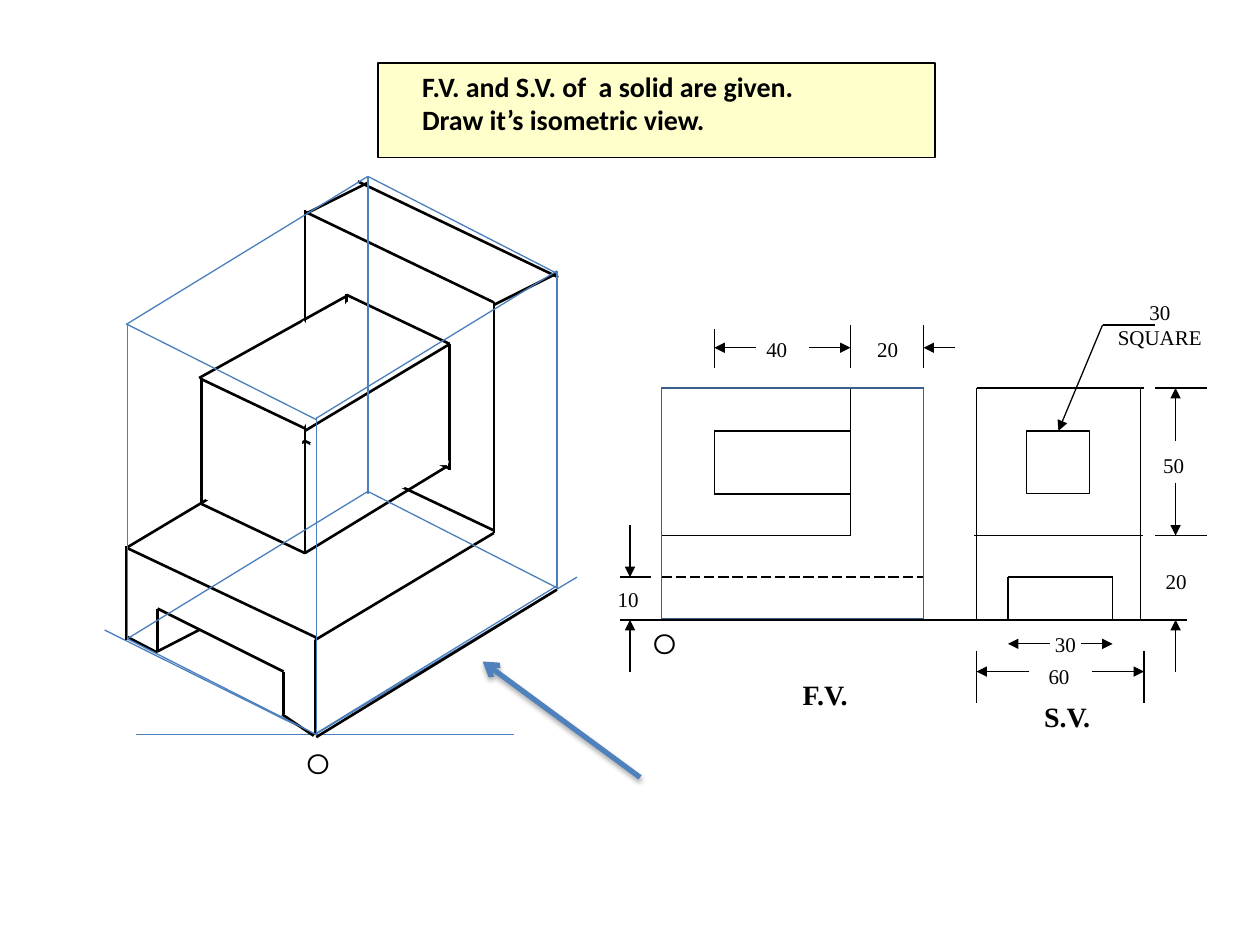
"""Build a slide with the front and side views of a solid and its isometric view."""
from dataclasses import dataclass
from itertools import pairwise

from lxml import etree
from pptx import Presentation
from pptx.dml.color import RGBColor
from pptx.enum.dml import MSO_LINE
from pptx.enum.shapes import MSO_CONNECTOR, MSO_SHAPE
from pptx.enum.text import MSO_ANCHOR, MSO_AUTO_SIZE, PP_ALIGN
from pptx.oxml.ns import qn
from pptx.util import Pt

STRAIGHT = MSO_CONNECTOR.STRAIGHT
RECTANGLE, OVAL = MSO_SHAPE.RECTANGLE, MSO_SHAPE.OVAL
PARALLELOGRAM = MSO_SHAPE.PARALLELOGRAM
LEFT, CENTER = PP_ALIGN.LEFT, PP_ALIGN.CENTER
TOP = MSO_ANCHOR.TOP
LONG_DASH = MSO_LINE.LONG_DASH
EMU_PER_PX = 9144


@dataclass(frozen=True)
class Theme:
    ink: str = "000000"
    paper: str = "FFFFFF"
    banner: str = "FFFFCC"
    guide: str = "4B7EBC"
    outline: str = "3A5F8C"
    pointer: str = "4F81BD"
    title_font: str = "Calibri"
    drawing_font: str = "Times New Roman"
    origin_font: str = "Montserrat"
    heading: int = 16
    dimension: int = 12
    thin: float = 0.75
    medium: float = 1
    bold: float = 1.5
    heavy: float = 3


THEME = Theme()

TITLE = ["F.V. and S.V. of  a solid are given.", "Draw it’s isometric view."]

AXES = [
    [(108, 583), (408, 583)],
    [(250, 583), (458, 458)],
    [(250, 583), (83, 500)],
]
BODY_EDGES = [
    [(250, 583), (250, 508), (392, 423), (392, 240), (242, 168)],
    [(392, 421), (242, 350), (242, 167)],
    [(442, 467), (442, 217)],
    [(443, 220), (284, 144)],
    [(392, 242), (442, 217)],
    [(242, 170), (292, 145)],
    [(251, 506), (101, 435)],
    [(100, 435), (242, 350)],
    [(100, 508), (100, 433)],
]
BLOCK_EDGES = [
    [(357, 373), (357, 273), (275, 234)],
    [(357, 372), (275, 333), (275, 233)],
    [(158, 300), (275, 235)],
    [(242, 439), (355, 370)],
    [(242, 440), (242, 340), (160, 301)],
    [(242, 439), (160, 400), (160, 300)],
]
HIDDEN_EDGE_COVERS = [
    (OVAL, (237, 255, 8, 83), 0),
    (OVAL, (269, 240, 15, 93), 0),
    (OVAL, (260, 338, 100, 17), 24.6),
]
BLOCK_TOP_EDGE = [[(242, 342), (357, 273)]]
LOWER_COVER = (OVAL, (243, 362, 82, 14), 24.6)
SLOT_EDGES = [
    [(125, 517), (125, 483), (225, 533), (225, 567)],
    [(125, 517), (158, 500)],
    [(249, 584), (224, 567)],
    [(125, 518), (100, 505)],
    [(251, 585), (442, 468)],
]
VIEW_LINES = [
    [(733, 308), (675, 308), (675, 425), (525, 425), (525, 492), (733, 492), (733, 308)],
    [(675, 342), (567, 342), (567, 392), (675, 392)],
    [(800, 492), (775, 492), (775, 308), (908, 308)],
    [(905, 308), (905, 492)],
    [(800, 492), (800, 458), (883, 458), (883, 492), (908, 492)],
    [(773, 425), (907, 425)],
    [(492, 492), (942, 492)],
]
HIDDEN_LINE = [[(525, 458), (733, 458)]]
EXTENSION_LINES = [
    [(567, 261), (567, 292)],
    [(675, 258), (675, 292)],
    [(733, 258), (733, 292)],
    [(917, 308), (958, 308)],
    [(917, 425), (958, 425)],
    [(775, 517), (775, 558)],
    [(908, 517), (908, 558)],
    [(492, 458), (517, 458)],
    [(875, 258), (917, 258)],
]
DIMENSION_ARROWS = [
    [(933, 350), (933, 308)],
    [(933, 383), (933, 425)],
    [(933, 533), (933, 492)],
    [(817, 533), (775, 533)],
    [(867, 533), (908, 533)],
    [(858, 511), (883, 511)],
    [(833, 511), (800, 511)],
    [(500, 417), (500, 458)],
    [(500, 533), (500, 492)],
    [(600, 276), (567, 276)],
    [(642, 276), (675, 276)],
    [(758, 276), (733, 276)],
]
SQUARE = (815, 342, 50, 50)
DIMENSIONS = [
    ("40", 598, 262), ("20", 686, 262), ("20", 915, 446), ("50", 913, 354),
    ("60", 822, 522), ("30", 827, 496), ("10", 480, 461),
]
VIEW_NAMES = [("F.V.", 625, 533), ("S.V.", 817, 550)]
ORIGINS = [("O", 233, 588), ("O", 508, 492)]
ENCLOSING_BOX = [
    [(251, 582), (442, 465)],
    [(442, 467), (442, 215)],
    [(251, 582), (251, 331)],
    [(251, 332), (442, 215)],
    [(251, 583), (101, 507)],
    [(443, 467), (292, 390)],
    [(101, 507), (292, 390)],
    [(292, 392), (292, 140)],
    [(101, 507), (101, 256)],
    [(101, 257), (292, 140)],
    [(251, 333), (100, 257)],
    [(442, 217), (292, 140)],
]


def emu(*lengths):
    return [length * EMU_PER_PX for length in lengths]


def color(code):
    return RGBColor.from_string(code)


def draw_line(page, start, end, ink=THEME.ink, width=THEME.thin, dash=None, head=None):
    line = page.shapes.add_connector(STRAIGHT, *emu(*start, *end))
    line.line.color.rgb = color(ink)
    line.line.width = Pt(width)
    if dash:
        line.line.dash_style = dash
    properties = line._element.spPr
    if head:
        etree.SubElement(properties.find(qn("a:ln")), qn("a:tailEnd"), type=head)
    etree.SubElement(properties, qn("a:effectLst"))
    return line


def draw_chains(page, chains, **style):
    for chain in chains:
        for start, end in pairwise(chain):
            draw_line(page, start, end, **style)


def add_shadow(line):
    effects = line._element.spPr.find(qn("a:effectLst"))
    shadow = etree.SubElement(effects, qn("a:outerShdw"), blurRad="40000",
                              dist="23000", dir="5400000", rotWithShape="0")
    tint = etree.SubElement(shadow, qn("a:srgbClr"), val=THEME.ink)
    etree.SubElement(tint, qn("a:alpha"), val="35000")


def draw_shape(page, kind, place, angle=0, fill=THEME.paper, ink=THEME.paper, width=THEME.thin):
    shape = page.shapes.add_shape(kind, *emu(*place))
    shape.shadow.inherit = False
    shape.rotation = angle
    if fill:
        shape.fill.solid()
        shape.fill.fore_color.rgb = color(fill)
    else:
        shape.fill.background()
    shape.line.color.rgb = color(ink)
    shape.line.width = Pt(width)
    return shape


def write(box, lines, font=THEME.drawing_font, size=THEME.dimension, bold=False,
          align=CENTER, wrap=False, fit=MSO_AUTO_SIZE.SHAPE_TO_FIT_TEXT):
    frame = box.text_frame
    frame.text = "\n".join(lines)
    frame.word_wrap = wrap
    frame.auto_size = fit
    frame.vertical_anchor = TOP
    for para in frame.paragraphs:
        para.alignment = align
        for span in para.runs:
            span.font.name, span.font.size, span.font.bold = font, Pt(size), bold
            span.font.color.rgb = color(THEME.ink)


def add_labels(page, labels, width, height, **style):
    for text, left, top in labels:
        write(page.shapes.add_textbox(*emu(left, top, width, height)), [text], **style)


def add_title(page):
    box = page.shapes.title
    box.left, box.top, box.width, box.height = emu(300, 50, 442, 75)
    box.fill.solid()
    box.fill.fore_color.rgb = color(THEME.banner)
    box.line.color.rgb = color(THEME.ink)
    box.line.width = Pt(THEME.thin)
    write(box, TITLE, font=THEME.title_font, size=THEME.heading, bold=True,
          align=LEFT, wrap=True, fit=MSO_AUTO_SIZE.NONE)
    box.text_frame.margin_left = emu(35)[0]


def add_isometric(page):
    draw_chains(page, AXES, ink=THEME.guide)
    draw_chains(page, BODY_EDGES + BLOCK_EDGES, width=THEME.bold)
    face = draw_shape(page, PARALLELOGRAM, (150, 334, 102, 75), 24.2)
    face.adjustments[0] = 0.34
    face._element.spPr.xfrm.set("flipH", "1")
    for cover in HIDDEN_EDGE_COVERS:
        draw_shape(page, *cover)
    draw_chains(page, BLOCK_TOP_EDGE, width=THEME.bold)
    draw_shape(page, *LOWER_COVER)
    draw_chains(page, SLOT_EDGES, width=THEME.bold)


def add_views(page):
    draw_chains(page, VIEW_LINES + EXTENSION_LINES)
    draw_chains(page, HIDDEN_LINE, dash=LONG_DASH)
    square = draw_shape(page, RECTANGLE, SQUARE, ink=THEME.ink)
    leader = draw_line(page, (875, 258), (840, 342), head="triangle")
    leader.end_connect(square, 0)
    draw_chains(page, DIMENSION_ARROWS, head="triangle")
    add_labels(page, DIMENSIONS, 37, 30)
    add_labels(page, [("30 SQUARE", 867, 233)], 107, 30)
    add_labels(page, VIEW_NAMES, 60, 37, size=THEME.heading, bold=True)


def main():
    deck = Presentation()
    deck.slide_width, deck.slide_height = emu(1000, 750)
    page = deck.slides.add_slide(deck.slide_layouts[5])
    add_title(page)
    add_isometric(page)
    add_views(page)
    add_labels(page, ORIGINS, 39, 37, font=THEME.origin_font, size=THEME.heading)
    draw_chains(page, ENCLOSING_BOX, ink=THEME.guide)
    draw_shape(page, RECTANGLE, (525, 308, 208, 183), fill=None,
               ink=THEME.outline, width=THEME.medium)
    add_shadow(draw_line(page, (508, 617), (383, 525), ink=THEME.pointer,
                         width=THEME.heavy, head="arrow"))
    deck.save("out.pptx")


if __name__ == "__main__":
    main()
